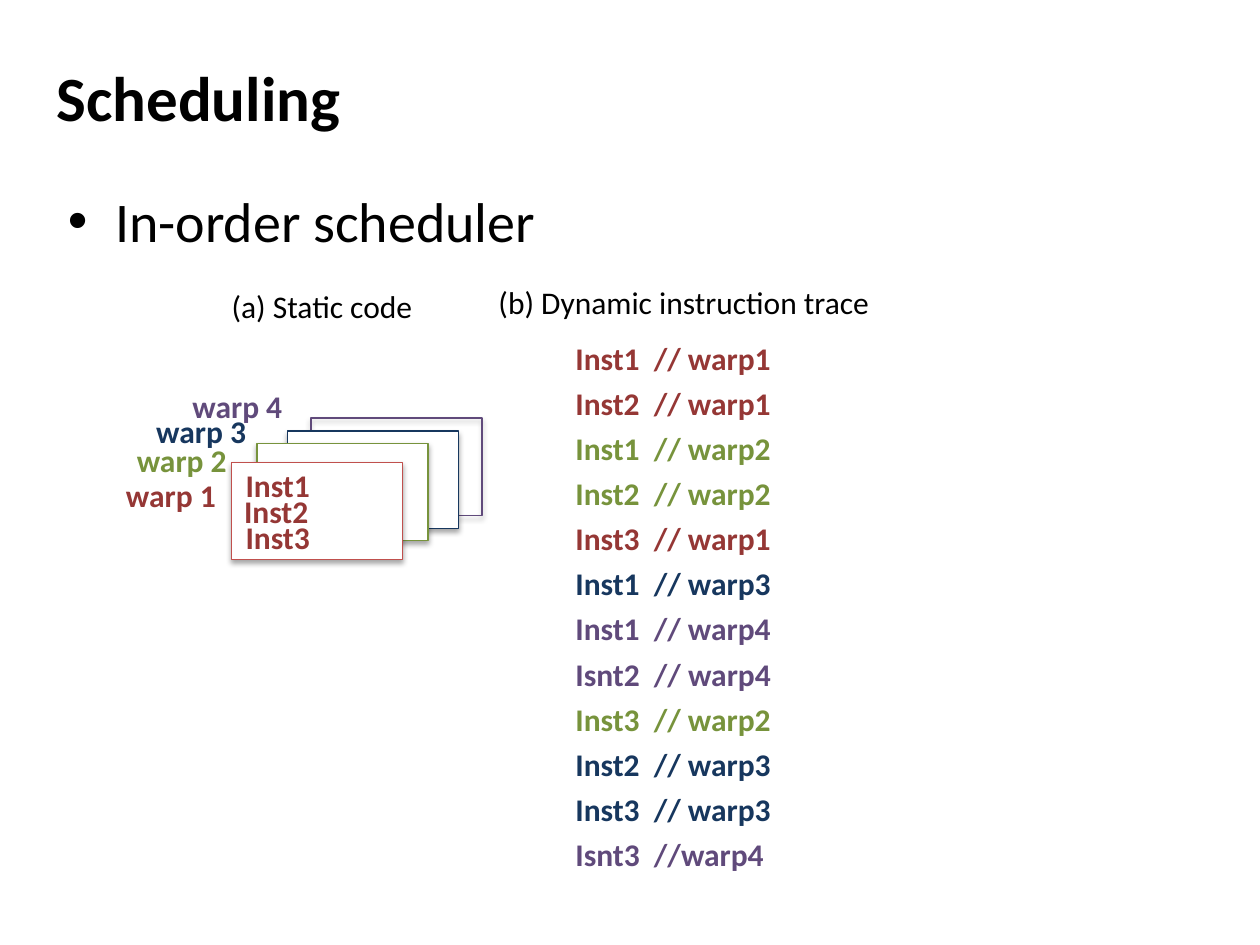
import pptx
import pptx.dml.color
import pptx.enum.shapes
import pptx.enum.text
import pptx.oxml
import pptx.util
from pptx.util import Cm

FONT = "Calibri"
BLACK = "000000"
WARP_COLORS = {1: "953735", 2: "77933C", 3: "17375E", 4: "604A7B"}

# Warp number, card position, card fill, card outline, label position
WARPS = [
    (4, 6.27, 8.43, None, "604A7B", 3.63, 7.67),
    (3, 5.79, 8.69, "FFFFFF", "17375E", 2.9, 8.18),
    (2, 5.18, 8.94, "FFFFFF", "77933C", 2.51, 8.76),
    (1, 4.67, 9.32, "FFFFFF", "C0504D", 2.29, 9.47),
]
STATIC_CODE = [("Inst1", 4.7, 9.27), ("Inst2", 4.67, 9.8), ("Inst3", 4.7, 10.31)]
TRACE = [
    ("Inst1  // warp1", 1),
    ("Inst2  // warp1", 1),
    ("Inst1  // warp2", 2),
    ("Inst2  // warp2", 2),
    ("Inst3  // warp1", 1),
    ("Inst1  // warp3", 3),
    ("Inst1  // warp4", 4),
    ("Isnt2  // warp4", 4),
    ("Inst3  // warp2", 2),
    ("Inst2  // warp3", 3),
    ("Inst3  // warp3", 3),
    ("Isnt3  //warp4", 4),
]
TRACE_TOP, TRACE_STEP = 6.7, 0.91


def rgb(value):
    return pptx.dml.color.RGBColor.from_string(value)


def add_text(slide, text, left, top, width, height=1.02, size=18,
             color=BLACK, bold=False, wrap=True):
    shape = slide.shapes.add_textbox(Cm(left), Cm(top), Cm(width), Cm(height))
    shape.text_frame.word_wrap = wrap
    run = shape.text_frame.paragraphs[0].add_run()
    run.text = text
    run.font.name = FONT
    run.font.size = pptx.util.Pt(size)
    run.font.bold = bold
    run.font.color.rgb = rgb(color)
    return shape


def add_bullet(paragraph, indent):
    properties = paragraph._p.get_or_add_pPr()
    properties.set("marL", str(Cm(indent)))
    properties.set("indent", str(-Cm(indent)))
    namespace = pptx.oxml.ns.nsdecls("a")
    for xml in (f'<a:buFont {namespace} typeface="Arial"/>',
                f'<a:buChar {namespace} char="•"/>'):
        properties.append(pptx.oxml.parse_xml(xml))


def add_card(slide, left, top, fill, line):
    shape = slide.shapes.add_shape(
        pptx.enum.shapes.MSO_SHAPE.RECTANGLE, Cm(left), Cm(top), Cm(3.45), Cm(1.96))
    if fill:
        shape.fill.solid()
        shape.fill.fore_color.rgb = rgb(fill)
    else:
        shape.fill.background()
    shape.line.color.rgb = rgb(line)
    shape.line.width = pptx.util.Pt(0.75)
    # Soft shadow straight below the card
    shape.shadow.inherit = False
    effects = shape._element.spPr.find(pptx.oxml.ns.qn("a:effectLst"))
    effects.append(pptx.oxml.parse_xml(
        f'<a:outerShdw {pptx.oxml.ns.nsdecls("a")} blurRad="40000" dist="23000" '
        'dir="5400000" rotWithShape="0"><a:srgbClr val="000000">'
        '<a:alpha val="35000"/></a:srgbClr></a:outerShdw>'))


def main():
    presentation = pptx.Presentation()
    presentation.slide_width, presentation.slide_height = Cm(25.4), Cm(19.05)
    slide = presentation.slides.add_slide(presentation.slide_layouts[6])

    # Title and bullet
    title = add_text(slide, "Scheduling", 0.89, 0.89, 22.86, 2.11, size=36, bold=True)
    title.text_frame.vertical_anchor = pptx.enum.text.MSO_ANCHOR.MIDDLE
    body = add_text(slide, "In-order scheduler", 1.12, 3.63, 23.19, 13.92, size=32)
    add_bullet(body.text_frame.paragraphs[0], 0.95)

    # Captions
    add_text(slide, "(a) Static code", 4.42, 5.66, 4.22, wrap=False)
    add_text(slide, "(b) Dynamic instruction trace", 9.8, 5.59, 11.63)

    # Stacked warps, from back to front
    for warp, left, top, fill, line, label_left, label_top in WARPS:
        add_card(slide, left, top, fill, line)
        add_text(slide, f"warp {warp}", label_left, label_top, 2.9,
                 color=WARP_COLORS[warp], bold=True)

    # Code on the front card
    for text, left, top in STATIC_CODE:
        add_text(slide, text, left, top, 2.9, color=WARP_COLORS[1], bold=True)

    # Instruction trace
    for row, (text, warp) in enumerate(TRACE):
        add_text(slide, text, 11.35, TRACE_TOP + row * TRACE_STEP, 6.55,
                 color=WARP_COLORS[warp], bold=True)

    presentation.save("out.pptx")


if __name__ == "__main__":
    main()
